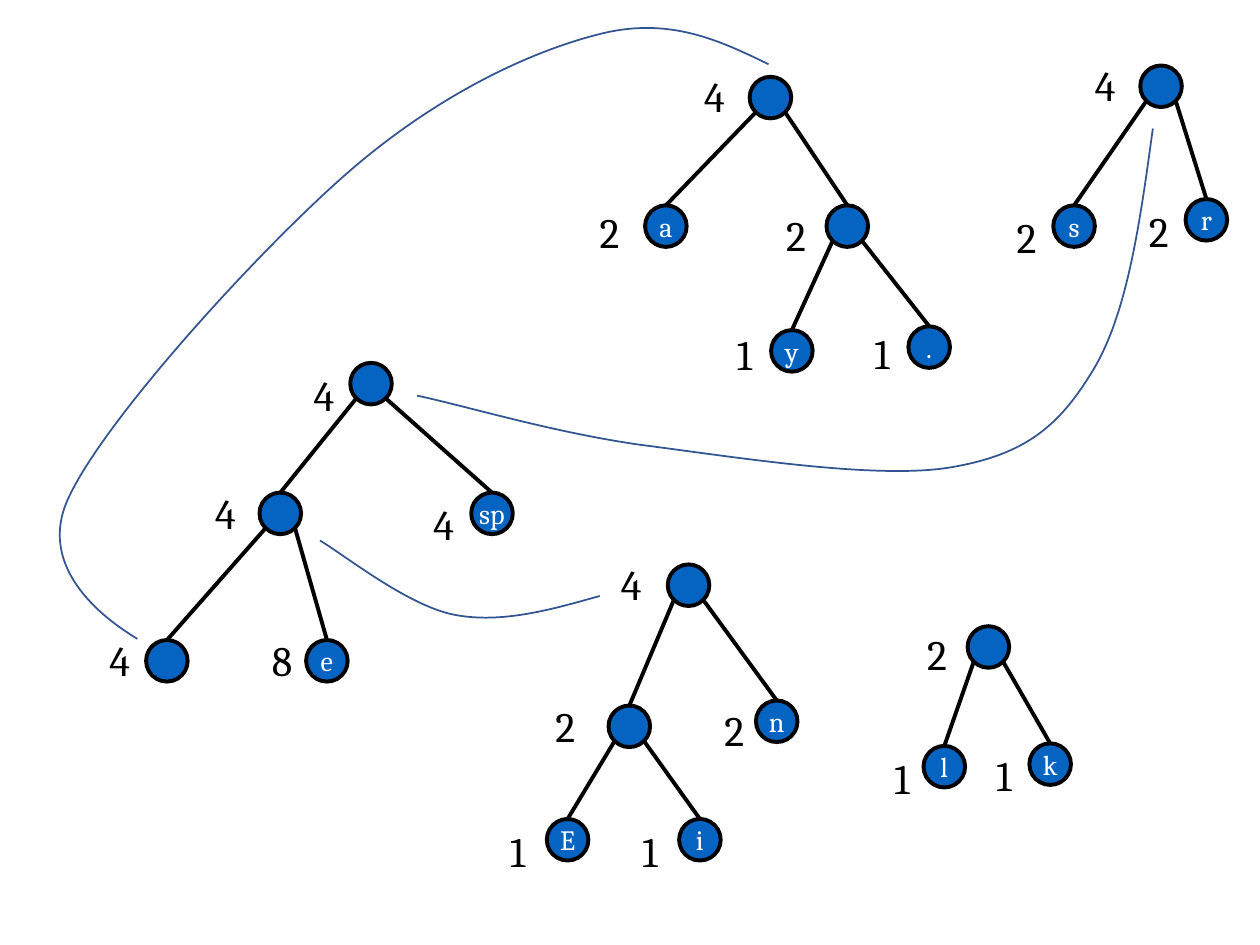
"""Draw a forest of Huffman coding trees with the merges that join them."""
import math
from dataclasses import dataclass

import pptx
import pptx.dml.color
import pptx.enum.shapes
import pptx.enum.text
import pptx.oxml
import pptx.oxml.ns
import pptx.util
from pptx.util import Inches

Point = tuple[float, float]


@dataclass(frozen=True)
class Theme:
    font: str = "Cambria"
    node: str = "0563C1"
    ink: str = "000000"
    symbol: str = "FFFFFF"
    merge: str = "325491"
    symbol_size: int = 16
    weight_size: int = 24
    edge_width: float = 2.25
    merge_width: float = 1
    diameter: float = 0.33


@dataclass(frozen=True)
class Node:
    corner: Point
    weight: str
    weight_corner: Point
    symbol: str = ""
    children: tuple["Node", ...] = ()


@dataclass(frozen=True)
class Merge:
    frame: tuple[float, float, float, float]
    start: Point
    bends: tuple[tuple[Point, Point, Point], ...]


THEME = Theme()

TREES = (
    Node((2.78, 2.88), "4", (2.39, 2.88), children=(
        Node((2.06, 3.91), "4", (1.61, 3.82), children=(
            Node((1.16, 5.08), "4", (0.77, 4.99)),
            Node((2.43, 5.08), "8", (2.06, 4.99), "e"))),
        Node((3.74, 3.91), "4", (3.34, 3.91), "sp"))),
    Node((5.95, 0.61), "4", (5.49, 0.51), children=(
        Node((5.12, 1.63), "2", (4.66, 1.59), "a"),
        Node((6.56, 1.63), "2", (6.14, 1.61), children=(
            Node((6.12, 2.62), "1", (5.75, 2.56), "y"),
            Node((7.21, 2.59), "1", (6.84, 2.55), "."))))),
    Node((9.05, 0.52), "4", (8.59, 0.42), children=(
        Node((8.36, 1.63), "2", (7.97, 1.63), "s"),
        Node((9.41, 1.58), "2", (9.02, 1.58), "r"))),
    Node((7.68, 4.97), "2", (7.26, 4.94), children=(
        Node((7.33, 5.92), "1", (7.00, 5.92), "l"),
        Node((8.17, 5.90), "1", (7.81, 5.90), "k"))),
    Node((5.30, 4.48), "4", (4.83, 4.38), children=(
        Node((4.83, 5.60), "2", (4.31, 5.51), children=(
            Node((4.34, 6.50), "1", (3.95, 6.50), "E"),
            Node((5.39, 6.50), "1", (5.00, 6.50), "i"))),
        Node((6.00, 5.56), "2", (5.65, 5.54), "n"))),
)

MERGES = (
    Merge((0.48, 0.22, 5.62, 4.85), (6.10, 0.51), (
        ((5.71, 0.32), (5.31, 0.13), (4.76, 0.27)),
        ((4.20, 0.41), (3.46, 0.76), (2.76, 1.37)),
        ((2.05, 1.99), (0.82, 3.34), (0.54, 3.96)),
        ((0.26, 4.57), (0.96, 4.99), (1.09, 5.07)))),
    Merge((3.31, 1.02, 5.85, 2.72), (9.15, 1.02), (
        ((9.05, 1.75), (8.95, 2.48), (8.68, 2.93)),
        ((8.41, 3.38), (8.14, 3.61), (7.54, 3.71)),
        ((6.94, 3.81), (5.79, 3.62), (5.08, 3.53)),
        ((4.38, 3.43), (3.69, 3.22), (3.31, 3.14)))),
    Merge((2.54, 4.29, 2.22, 0.62), (4.76, 4.73), (
        ((4.37, 4.84), (3.98, 4.95), (3.61, 4.88)),
        ((3.24, 4.81), (2.74, 4.41), (2.54, 4.29)))),
)


def rgb(value: str) -> pptx.dml.color.RGBColor:
    return pptx.dml.color.RGBColor.from_string(value)


def style_line(line, color: str, width: float) -> None:
    line.color.rgb = rgb(color)
    line.width = pptx.util.Pt(width)


def write(frame, text: str, size: int, color: str) -> None:
    frame.text = text
    frame.word_wrap = False
    font = frame.paragraphs[0].runs[0].font
    font.name, font.size = THEME.font, pptx.util.Pt(size)
    font.color.rgb = rgb(color)


def draw_edge(shapes, parent: Node, parent_circle, child: Node, child_circle) -> None:
    radius = THEME.diameter / 2
    reach = radius * math.sqrt(0.5)
    on_left = child.corner[0] < parent.corner[0]
    end_x = parent.corner[0] + radius + (-reach if on_left else reach)
    end_y = parent.corner[1] + radius + reach
    edge = shapes.add_connector(
        pptx.enum.shapes.MSO_CONNECTOR.STRAIGHT,
        Inches(child.corner[0] + radius), Inches(child.corner[1]),
        Inches(end_x), Inches(end_y))
    edge.begin_connect(child_circle, 0)
    style_line(edge.line, THEME.ink, THEME.edge_width)
    properties = edge._element.spPr
    pptx.oxml.ns.qn("a:effectLst")
    properties.append(properties.makeelement(pptx.oxml.ns.qn("a:effectLst"), {}))
    links = edge._element.nvCxnSpPr.cNvCxnSpPr
    links.append(links.makeelement(
        pptx.oxml.ns.qn("a:endCxn"),
        {"id": str(parent_circle.shape_id), "idx": "3" if on_left else "5"}))


def draw_tree(shapes, node: Node):
    circle = shapes.add_shape(
        pptx.enum.shapes.MSO_SHAPE.OVAL, *map(Inches, node.corner),
        Inches(THEME.diameter), Inches(THEME.diameter))
    circle.shadow.inherit = False
    circle.fill.solid()
    circle.fill.fore_color.rgb = rgb(THEME.node)
    style_line(circle.line, THEME.ink, THEME.edge_width)
    if node.symbol:
        write(circle.text_frame, node.symbol, THEME.symbol_size, THEME.symbol)
        circle.text_frame.vertical_anchor = pptx.enum.text.MSO_ANCHOR.MIDDLE
        circle.text_frame.paragraphs[0].alignment = pptx.enum.text.PP_ALIGN.CENTER
    weight = shapes.add_textbox(*map(Inches, node.weight_corner), Inches(0.39), Inches(0.5))
    write(weight.text_frame, node.weight, THEME.weight_size, THEME.ink)
    weight.text_frame.auto_size = pptx.enum.text.MSO_AUTO_SIZE.SHAPE_TO_FIT_TEXT
    for child in node.children:
        draw_edge(shapes, node, circle, child, draw_tree(shapes, child))
    return circle


def draw_merge(shapes, merge: Merge) -> None:
    left, top, width, height = merge.frame
    builder = shapes.build_freeform(Inches(left), Inches(top))
    builder.add_line_segments([(Inches(left + width), Inches(top + height))], close=False)
    curve = builder.convert_to_shape()
    curve.shadow.inherit = False
    curve.fill.background()
    style_line(curve.line, THEME.merge, THEME.merge_width)
    outline = next(curve._element.iter(pptx.oxml.ns.qn("a:path")))
    for segment in list(outline):
        outline.remove(segment)
    for tag, points in [("a:moveTo", (merge.start,))] + [("a:cubicBezTo", b) for b in merge.bends]:
        segment = outline.makeelement(pptx.oxml.ns.qn(tag), {})
        outline.append(segment)
        for x, y in points:
            segment.append(segment.makeelement(
                pptx.oxml.ns.qn("a:pt"),
                {"x": str(int(Inches(x - left))), "y": str(int(Inches(y - top)))}))


def main() -> None:
    deck = pptx.Presentation()
    deck.slide_width, deck.slide_height = Inches(10), Inches(7.5)
    shapes = deck.slides.add_slide(deck.slide_layouts[6]).shapes
    for tree in TREES:
        draw_tree(shapes, tree)
    for merge in MERGES:
        draw_merge(shapes, merge)
    deck.save("out.pptx")


main()
